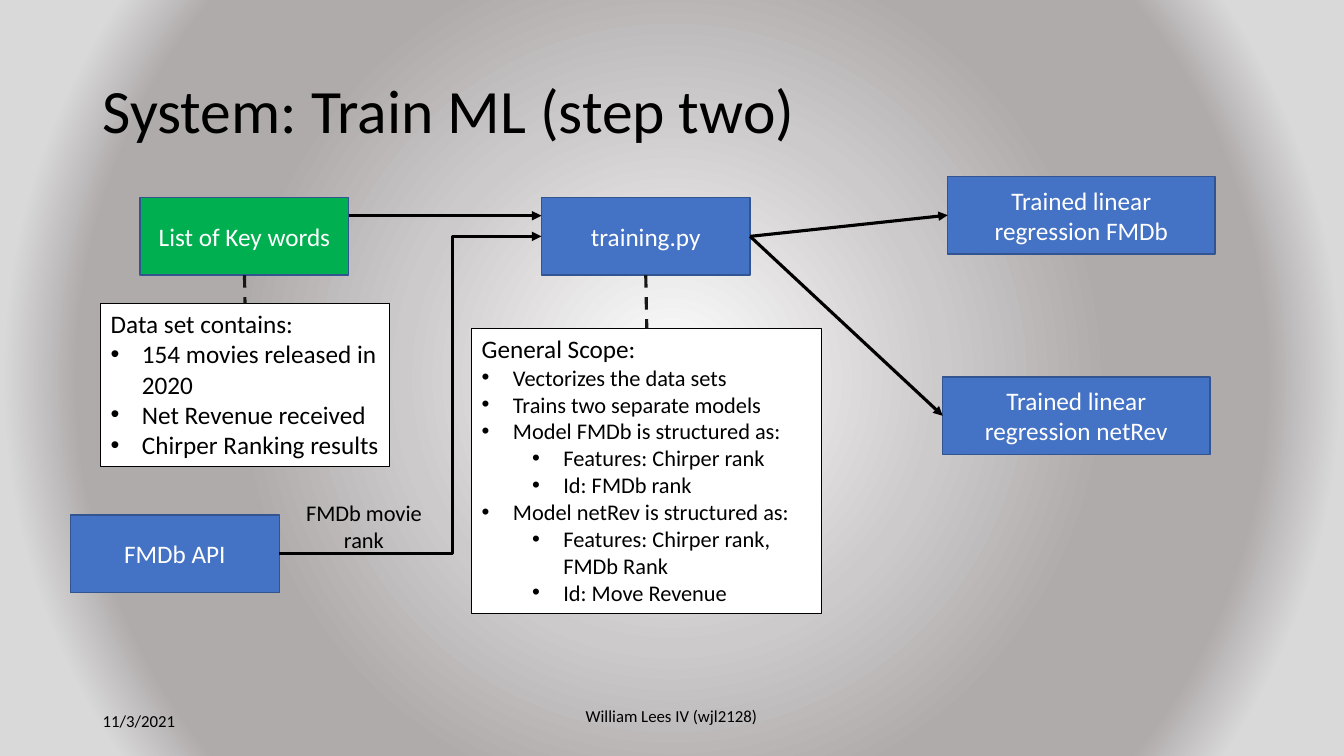
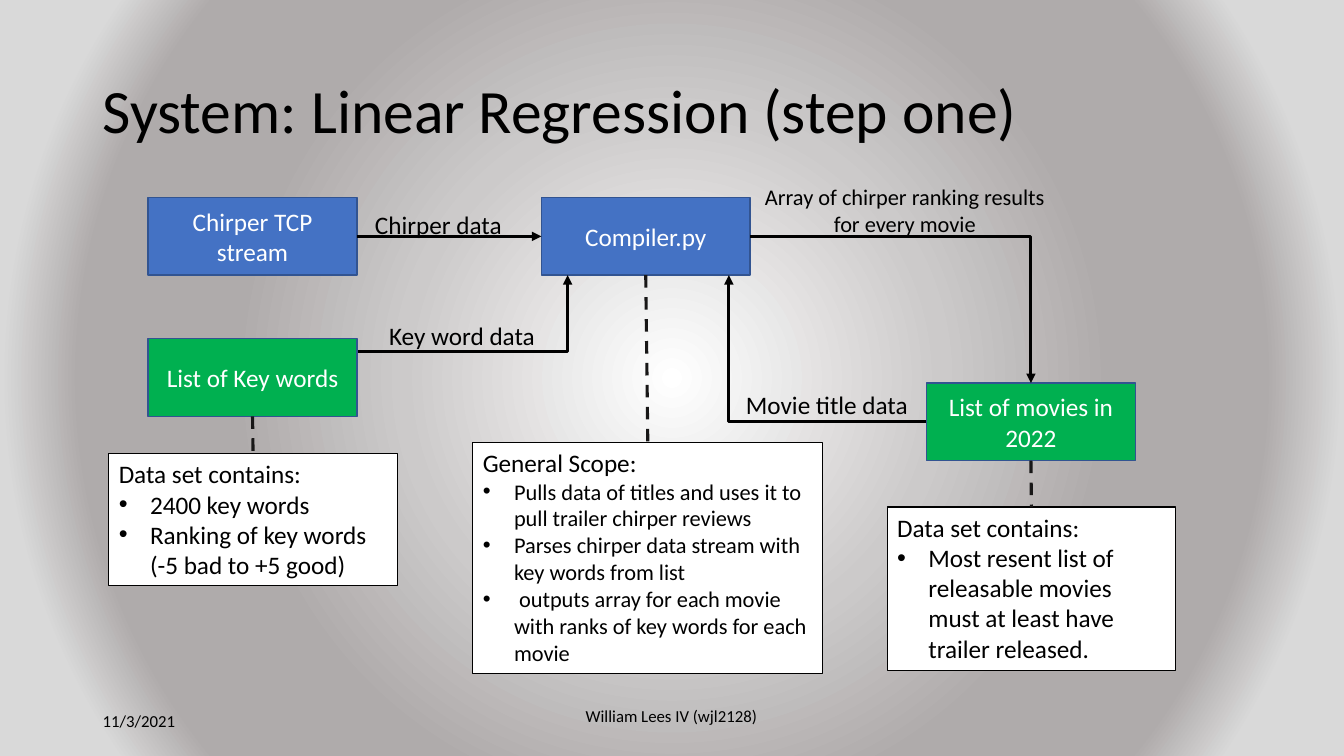
"""Build two system diagram slides: model training and linear regression."""
import pptx
import pptx.util
import pptx.dml.color
import pptx.enum.dml
import pptx.enum.shapes
import pptx.enum.text
import pptx.oxml.ns
import lxml.etree

Inches, Pt, qn = pptx.util.Inches, pptx.util.Pt, pptx.oxml.ns.qn
ALIGN = pptx.enum.text.PP_ALIGN
ANCHOR = pptx.enum.text.MSO_ANCHOR
CONNECTOR = pptx.enum.shapes.MSO_CONNECTOR

FONT = "Calibri"
BLACK, WHITE, BLUE, GREEN = "000000", "FFFFFF", "4472C4", "00B050"
BOX_EDGE, DASH = "325491", "181717"
GLOW = [(0, "FFFFFF"), (35, "CCCACA"), (57, "AFABAB"), (77, "AFABAB"), (87, "D9D9D9")]
DATE, AUTHOR = "11/3/2021", "William Lees IV (wjl2128)"
BOX_HEIGHT, BOX_WIDTH, MODEL_WIDTH = 0.77, 2.07, 2.65
NOTE_WIDTH, SCOPE_WIDTH = 2.86, 3.47
TOP, LEFT, BOTTOM, RIGHT = range(4)

SLIDES = [
    {
        "title": "System: Train ML (step two)",
        "boxes": {
            "keywords": ("List of Key words", 1.39, 1.96, BOX_WIDTH, GREEN),
            "training": ("training.py", 5.37, 1.96, BOX_WIDTH, BLUE),
            "api": ("FMDb API", 0.7, 5.11, BOX_WIDTH, BLUE),
            "rank model": ("Trained linear regression FMDb", 9.4, 1.75, MODEL_WIDTH, BLUE),
            "revenue model": ("Trained linear regression netRev", 9.35, 3.74, MODEL_WIDTH, BLUE),
        },
        "notes": [
            ("keywords", (1, 3.01, NOTE_WIDTH, 1.62), 18, "Data set contains:", [
                (0, "154 movies released in 2020"),
                (0, "Net Revenue received"),
                (0, "Chirper Ranking results")]),
            ("training", (4.68, 3.26, SCOPE_WIDTH, 2.83), 16, "General Scope:", [
                (0, "Vectorizes the data sets"),
                (0, "Trains two separate models"),
                (0, "Model FMDb is structured as:"),
                (1, "Features: Chirper rank"),
                (1, "Id: FMDb rank"),
                (0, "Model netRev is structured as:"),
                (1, "Features: Chirper rank, FMDb Rank"),
                (1, "Id: Move Revenue")]),
        ],
        "arrows": [
            ((3.46, 2.14), (5.37, 2.14), None),
            (("api", RIGHT), ("training", LEFT), 0.66),
            (("training", RIGHT), ("rank model", LEFT), None),
            (("training", RIGHT), ("revenue model", LEFT), None),
        ],
        "labels": [("FMDb movie rank", (2.74, 4.9, 1.74, 0.64), 16, ALIGN.CENTER)],
    },
    {
        "title": "System: Linear Regression (step one)",
        "boxes": {
            "keywords": ("List of Key words", 1.47, 3.36, BOX_WIDTH, GREEN),
            "stream": ("Chirper TCP stream", 1.47, 1.96, BOX_WIDTH, BLUE),
            "compiler": ("Compiler.py", 5.37, 1.96, BOX_WIDTH, BLUE),
            "movies": ("List of movies in 2022", 9.19, 3.8, BOX_WIDTH, GREEN),
        },
        "notes": [
            ("keywords", (1.08, 4.5, NOTE_WIDTH, 1.31), 18, "Data set contains:", [
                (0, "2400 key words"),
                (0, "Ranking of key words (-5 bad to +5 good)")]),
            ("movies", (8.8, 5.03, NOTE_WIDTH, 1.62), 18, "Data set contains:", [
                (0, "Most resent list of releasable movies must at least have trailer released.")]),
            ("compiler", (4.69, 4.39, SCOPE_WIDTH, 2.29), 16, "General Scope:", [
                (0, "Pulls data of titles and uses it to pull trailer chirper reviews"),
                (0, "Parses chirper data stream with key words from list"),
                (0, " outputs array for each movie with ranks of key words for each movie")]),
        ],
        "arrows": [
            (("stream", RIGHT), ("compiler", LEFT), None),
            ((3.55, 3.49), (5.63, 2.73), 1),
            (("movies", LEFT), (7.23, 2.73), 1),
            (("compiler", RIGHT), ("movies", TOP), 1),
        ],
        "labels": [
            ("Chirper data", (3.62, 2.03, 1.75, 0.4), 18, ALIGN.LEFT),
            ("Movie title data", (7.3, 3.81, 2.07, 0.4), 18, ALIGN.LEFT),
            ("Key word data", (3.76, 3.13, 1.69, 0.4), 18, ALIGN.LEFT),
            ("Array of chirper ranking results\nfor every movie",
             (7.44, 1.77, 3.07, 0.64), 16, ALIGN.CENTER),
        ],
    },
]


def rgb(value):
    """Turn a hex string into a colour."""
    return pptx.dml.color.RGBColor.from_string(value)


def paint_background(master):
    """Give the master a circular gradient shared by every slide."""
    master.background.fill.gradient()
    gradient = master.element.find(".//" + qn("a:gradFill"))
    for child in list(gradient):
        gradient.remove(child)
    stops = lxml.etree.SubElement(gradient, qn("a:gsLst"))
    for percent, colour in GLOW:
        stop = lxml.etree.SubElement(stops, qn("a:gs"), pos=str(percent * 1000))
        lxml.etree.SubElement(stop, qn("a:srgbClr"), val=colour)
    circle = lxml.etree.SubElement(gradient, qn("a:path"), {"path": "circle"})
    lxml.etree.SubElement(circle, qn("a:fillToRect"), dict.fromkeys("ltrb", "50000"))


def write(shape, text, size, colour=BLACK, align=ALIGN.LEFT, anchor=ANCHOR.TOP):
    """Put formatted text into a shape."""
    frame = shape.text_frame
    frame.text = text
    frame.word_wrap = True
    frame.vertical_anchor = anchor
    for paragraph in frame.paragraphs:
        paragraph.alignment = align
        for run in paragraph.runs:
            run.font.name = FONT
            run.font.size = Pt(size)
            run.font.color.rgb = rgb(colour)
    return frame


def add_text(slide, text, place, size, align=ALIGN.LEFT, anchor=ANCHOR.TOP):
    """Add a text box."""
    return write(slide.shapes.add_textbox(*map(Inches, place)), text, size, BLACK, align, anchor)


def add_rectangle(slide, place, fill, edge, weight):
    """Add a flat outlined rectangle."""
    rectangle = slide.shapes.add_shape(
        pptx.enum.shapes.MSO_SHAPE.RECTANGLE, *map(Inches, place))
    rectangle.shadow.inherit = False
    rectangle.fill.solid()
    rectangle.fill.fore_color.rgb = rgb(fill)
    rectangle.line.color.rgb = rgb(edge)
    rectangle.line.width = Pt(weight)
    return rectangle


def add_box(slide, text, left, top, width, fill):
    """Add a step of the system."""
    box = add_rectangle(slide, (left, top, width, BOX_HEIGHT), fill, BOX_EDGE, 1)
    write(box, text, 18, WHITE, ALIGN.CENTER, ANCHOR.MIDDLE)
    return box


def add_note(slide, place, size, heading, points):
    """Add a white note with a heading and bulleted points."""
    note = add_rectangle(slide, place, WHITE, BLACK, 0.75)
    frame = write(note, "\n".join([heading] + [text for _, text in points]), size)
    frame.paragraphs[0].runs[0].font.size = Pt(18)
    for paragraph, (level, _) in zip(frame.paragraphs[1:], points):
        paragraph.level = level
        properties = paragraph._p.get_or_add_pPr()
        properties.set("marL", str(Inches(0.31 + 0.5 * level)))
        properties.set("indent", str(Inches(-0.31)))
        lxml.etree.SubElement(properties, qn("a:buFont"), typeface="Arial")
        lxml.etree.SubElement(properties, qn("a:buChar"), char="•")
    return note


def add_link(slide, start, end, colour, bend=None):
    """Join two ends, each a point or a (shape, side) pair."""
    kind = CONNECTOR.STRAIGHT if bend is None else CONNECTOR.ELBOW
    fixed = [(0, 0) if hasattr(place[0], "shape_id") else place for place in (start, end)]
    link = slide.shapes.add_connector(kind, *(Inches(v) for point in fixed for v in point))
    for place, connect in ((start, link.begin_connect), (end, link.end_connect)):
        if hasattr(place[0], "shape_id"):
            connect(*place)
    link.line.color.rgb = rgb(colour)
    link.line.width = Pt(2.25)
    properties = link._element.spPr
    lxml.etree.SubElement(properties, qn("a:effectLst"))
    if bend is not None:
        guides = properties.find(qn("a:prstGeom")).get_or_add_avLst()
        lxml.etree.SubElement(guides, qn("a:gd"), name="adj1", fmla=f"val {round(bend * 100000)}")
    return link


def add_diagram(slide, content):
    """Draw the title, footers, steps, notes and links of one slide."""
    title = add_text(slide, content["title"], (0.92, 0.4, 11.5, 1.45), 44, anchor=ANCHOR.MIDDLE)
    title.paragraphs[0].line_spacing = 0.9
    add_text(slide, DATE, (0.92, 6.95, 3, 0.4), 12, anchor=ANCHOR.MIDDLE)
    add_text(slide, AUTHOR, (5.41, 6.95, 2.5, 0.3), 12, ALIGN.CENTER, ANCHOR.MIDDLE)
    boxes = {key: add_box(slide, *box) for key, box in content["boxes"].items()}
    for owner, *note in content["notes"]:
        dashed = add_link(slide, (boxes[owner], BOTTOM), (add_note(slide, *note), TOP), DASH)
        dashed.line.dash_style = pptx.enum.dml.MSO_LINE.DASH
    for start, end, bend in content["arrows"]:
        ends = [(boxes.get(place[0], place[0]), place[1]) for place in (start, end)]
        arrow = add_link(slide, *ends, BLACK, bend)
        lxml.etree.SubElement(arrow.line._get_or_add_ln(), qn("a:tailEnd"), type="triangle")
    for label in content["labels"]:
        add_text(slide, *label)


deck = pptx.Presentation()
deck.slide_width, deck.slide_height = Inches(13.33), Inches(7.5)
paint_background(deck.slide_master)
for content in SLIDES:
    add_diagram(deck.slides.add_slide(deck.slide_layouts[6]), content)
deck.save("out.pptx")
